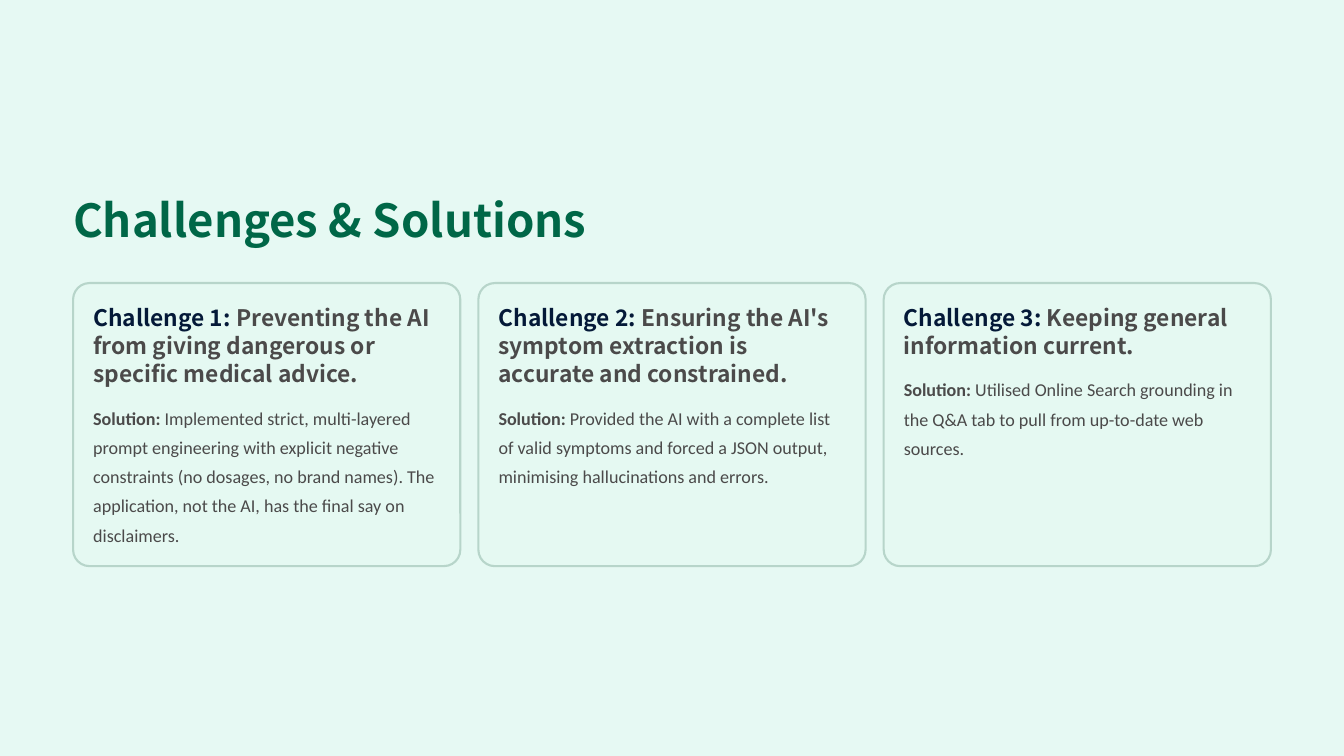
"""Builds the slide of challenges and solutions."""
from pptx import Presentation
from pptx.dml.color import RGBColor
from pptx.enum.shapes import MSO_SHAPE
from pptx.enum.text import MSO_ANCHOR, MSO_AUTO_SIZE, PP_ALIGN
from pptx.util import Inches, Pt

ROUND = MSO_SHAPE.ROUNDED_RECTANGLE
TOP = MSO_ANCHOR.TOP
FIXED = MSO_AUTO_SIZE.NONE
LEFT = PP_ALIGN.LEFT

HEAD, BODY = "Noto Sans CJK SC", "Calibri"
GREEN, NAVY, GREY = "006747", "041938", "4B4A4A"
MINT, PAGE, EDGE = "E5F9F2", "E6F9F3", "B7D5CA"

WIDE, HIGH = 16, 9
SIDE, CARD, COLS = 0.87, 4.61, 3
STEP = (WIDE - 2 * SIDE - CARD) / (COLS - 1)
CARD_TOP, CARD_HIGH, PAD = 3.37, 3.37, 0.24
HEAD_ROW, BODY_ROW, GAP = 0.34, 0.35, 0.13

CARDS = [
    ("Challenge 1:", " Preventing the AI from giving dangerous or specific medical advice.", 3,
     " Implemented strict, multi-layered prompt engineering with explicit negative constraints "
     "(no dosages, no brand names). The application, not the AI, has the final say on disclaimers.", 5),
    ("Challenge 2:", " Ensuring the AI's symptom extraction is accurate and constrained.", 3,
     " Provided the AI with a complete list of valid symptoms and forced a JSON output, "
     "minimising hallucinations and errors.", 4),
    ("Challenge 3:", " Keeping general information current.", 2,
     " Utilised Online Search grounding in the Q&A tab to pull from up-to-date web sources.", 3),
]


def color(code):
    """Turns a hex string into a colour."""
    return RGBColor.from_string(code)


def write(para, text, font=BODY, size=15.5, ink=GREY, bold=False):
    """Adds one formatted run to a paragraph."""
    run = para.add_run()
    run.text = text
    run.font.name = font
    run.font.size = Pt(size)
    run.font.bold = bold
    run.font.color.rgb = color(ink)


class Page:
    """Holds the grid and the current slide."""

    def __init__(self, deck):
        """Adds a slide with a plain background."""
        self.slide = deck.slides.add_slide(deck.slide_layouts[5])
        fill = self.slide.background.fill
        fill.solid()
        fill.fore_color.rgb = color(PAGE)

    def place(self, col, top, rows, row, pad=0):
        """Gives the box of some rows in a grid column."""
        left = SIDE + col * STEP + pad
        return [Inches(n) for n in (left, top, CARD - 2 * pad, rows * row)]

    def frame(self, shape, lead, wrap=True):
        """Clears the insets and returns the first paragraph."""
        box = shape.text_frame
        box.margin_left = box.margin_right = box.margin_top = box.margin_bottom = 0
        box.auto_size = FIXED
        box.word_wrap = wrap
        box.vertical_anchor = TOP
        para = box.paragraphs[0]
        para.alignment = LEFT
        para.line_spacing = Pt(lead)
        return para

    def title(self, text):
        """Moves and fills the title."""
        shape = self.slide.shapes.title
        shape.left, shape.top = Inches(SIDE), Inches(2.26)
        shape.width, shape.height = Inches(6.34), Inches(0.68)
        write(self.frame(shape, 48.5, wrap=False), text, font=HEAD, size=39, ink=GREEN, bold=True)

    def panel(self, col):
        """Draws the rounded outline of a card."""
        shape = self.slide.shapes.add_shape(ROUND, *self.place(col, CARD_TOP, 1, CARD_HIGH))
        shape.adjustments[0] = 0.058
        shape.shadow.inherit = False
        shape.fill.solid()
        shape.fill.fore_color.rgb = color(MINT)
        shape.line.color.rgb = color(EDGE)
        shape.line.width = Pt(1.8)

    def text(self, box, lead):
        """Adds a text box and returns its paragraph."""
        return self.frame(self.slide.shapes.add_textbox(*box), lead)

    def card(self, col, label, issue, lines, answer, rows):
        """Draws one challenge with its solution."""
        self.panel(col)
        top = CARD_TOP + PAD
        para = self.text(self.place(col, top, lines, HEAD_ROW, PAD), 24)
        write(para, label, font=HEAD, size=19.5, ink=NAVY, bold=True)
        write(para, issue, font=HEAD, size=19.5, bold=True)
        top += lines * HEAD_ROW + GAP
        para = self.text(self.place(col, top, rows, BODY_ROW, PAD), 25)
        write(para, "Solution:", bold=True)
        write(para, answer)


def main():
    """Builds and saves the deck."""
    deck = Presentation()
    deck.slide_width, deck.slide_height = Inches(WIDE), Inches(HIGH)
    page = Page(deck)
    page.title("Challenges & Solutions")
    for col, card in enumerate(CARDS):
        page.card(col, *card)
    deck.save("out.pptx")


if __name__ == "__main__":
    main()
